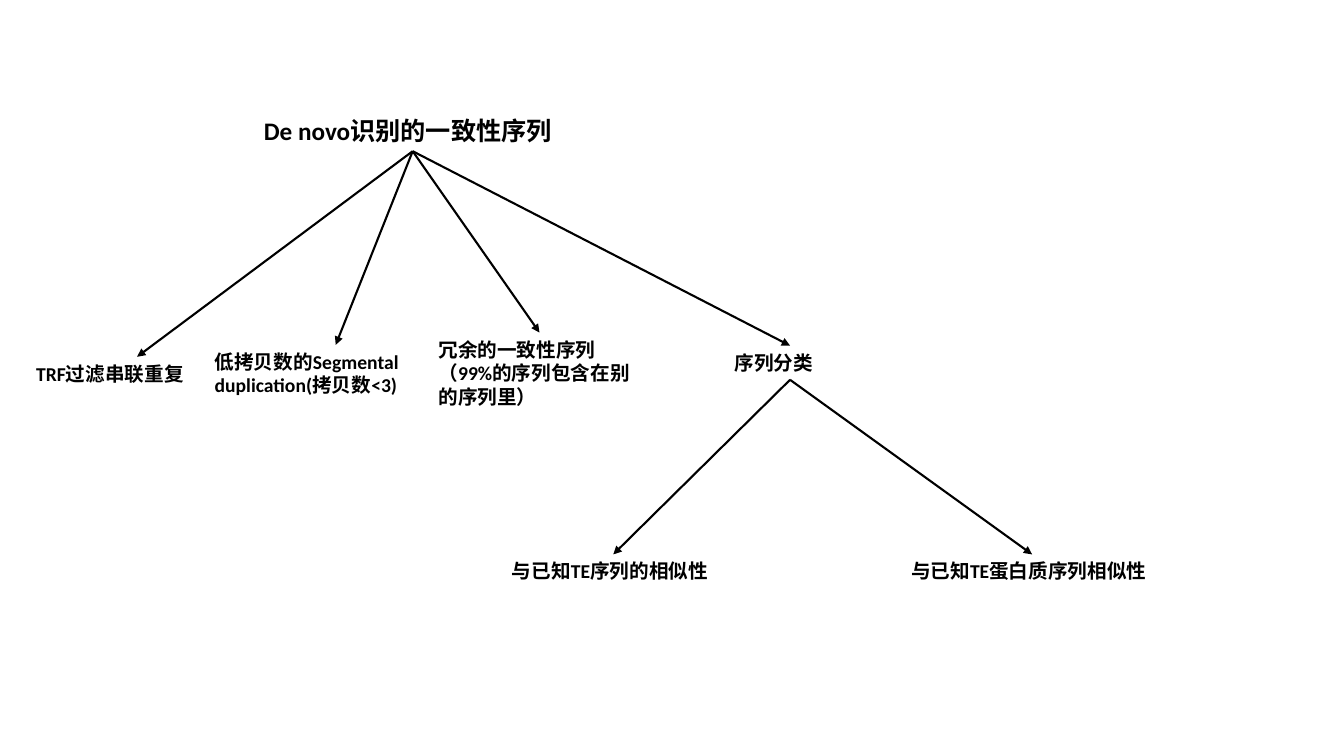
"""Build a slide with a tree of steps for classifying consensus repeat sequences."""
from pptx import Presentation
from pptx import util as u
from pptx.dml.color import RGBColor
from pptx.enum import shapes, text
from pptx.oxml.ns import qn
from lxml import etree

COLORS = {"ink": "000000"}
TOP, BOTTOM = 0, 2
ROOT = ("De novo识别的一致性序列", 6.4, 2.79, 8, 1.02)
FILTERS = [
    ("TRF过滤串联重复", 0.66, 8.99, 5.59, 0.86),
    ("低拷贝数的Segmental duplication(拷贝数<3)", 5.16, 8.69, 6.6, 1.45),
    ("冗余的一致性序列（99%的序列包含在别的序列里）", 10.8, 8.38, 5.59, 2.06),
]
CLASSIFY = ("序列分类", 18.26, 8.71, 3.3, 0.86)
SIMILARITIES = [
    ("与已知TE序列的相似性", 12.65, 13.97, 5.61, 0.86),
    ("与已知TE蛋白质序列相似性", 22.71, 13.97, 6.6, 0.86),
]


def add_label(s, label, left, top, width, height, size=14):
    sp = s.shapes.add_textbox(u.Cm(left), u.Cm(top), u.Cm(width), u.Cm(height))
    tf = sp.text_frame
    tf.word_wrap = True
    tf.auto_size = text.MSO_AUTO_SIZE.SHAPE_TO_FIT_TEXT
    r = tf.paragraphs[0].add_run()
    r.text = label
    r.font.name = "Calibri"
    r.font.size = u.Pt(size)
    r.font.bold = True
    r.font.color.rgb = RGBColor.from_string(COLORS["ink"])
    return sp


def add_arrow(s, parent, child):
    line = s.shapes.add_connector(shapes.MSO_CONNECTOR.STRAIGHT, 0, 0, 0, 0)
    line.begin_connect(parent, BOTTOM)
    line.end_connect(child, TOP)
    line.line.color.rgb = RGBColor.from_string(COLORS["ink"])
    line.line.width = u.Pt(1.5)
    etree.SubElement(line.line._get_or_add_ln(), qn("a:tailEnd"), type="triangle")
    etree.SubElement(line._element.spPr, qn("a:effectLst"))


def add_branches(s, parent, children):
    for child in children:
        add_arrow(s, parent, child)


def main():
    prs = Presentation()
    prs.slide_width, prs.slide_height = u.Cm(33.87), u.Cm(19.05)
    s = prs.slides.add_slide(prs.slide_layouts[6])
    root = add_label(s, *ROOT, size=18)
    filters = [add_label(s, *item) for item in FILTERS]
    classify = add_label(s, *CLASSIFY)
    similarities = [add_label(s, *item) for item in SIMILARITIES]
    add_branches(s, root, filters + [classify])
    add_branches(s, classify, similarities)
    prs.save("out.pptx")


if __name__ == "__main__":
    main()
